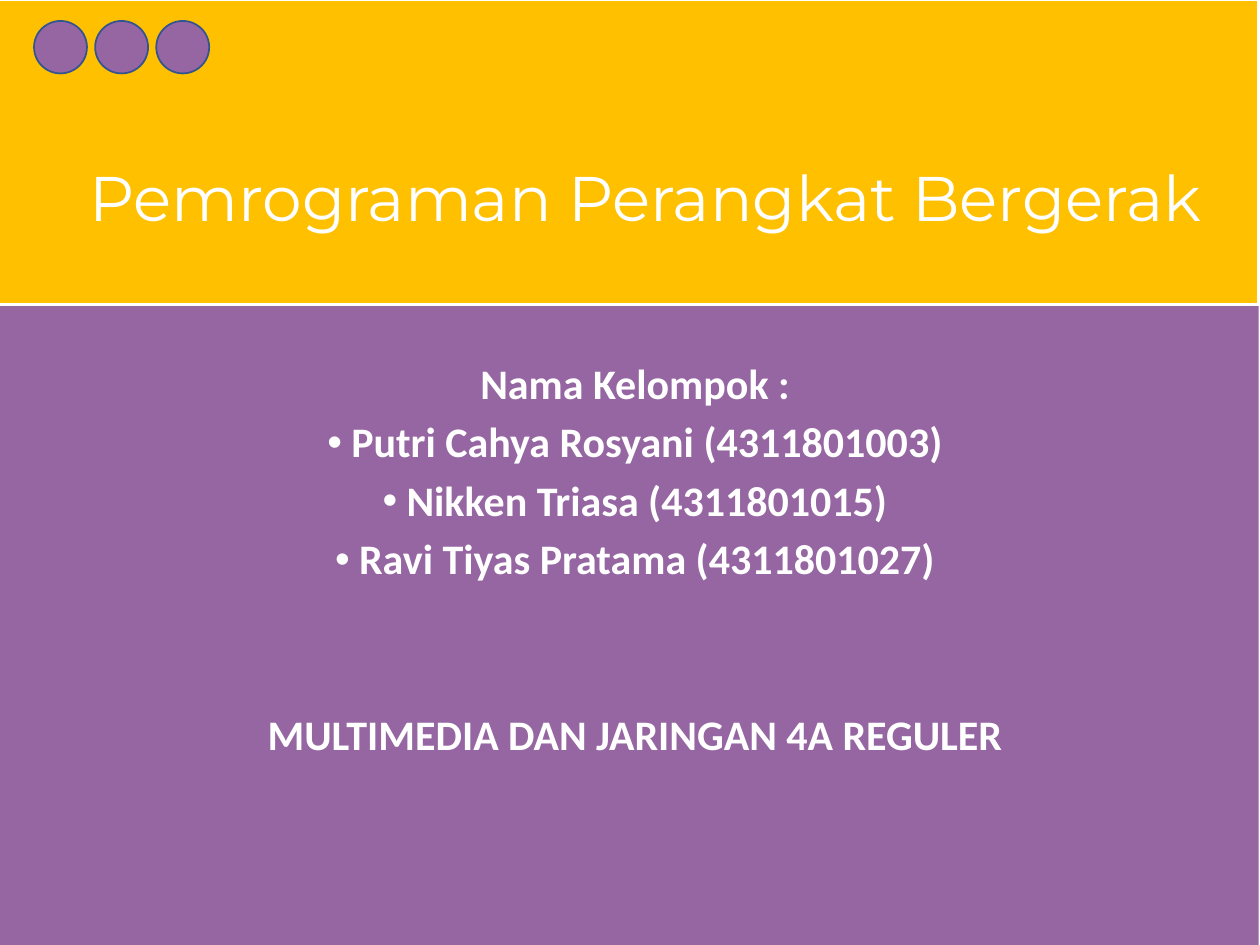
from pptx import Presentation
from pptx.dml.color import RGBColor
from pptx.enum.shapes import MSO_SHAPE
from pptx.enum.text import MSO_ANCHOR, PP_ALIGN
from pptx.oxml.xmlchemy import OxmlElement
from pptx.util import Inches, Pt

RECT, OVAL = MSO_SHAPE.RECTANGLE, MSO_SHAPE.OVAL
TOP, BOTTOM = MSO_ANCHOR.TOP, MSO_ANCHOR.BOTTOM
CENTER = PP_ALIGN.CENTER
COLUMNS, ROWS = 100, 90
PURPLE, YELLOW, WHITE, NAVY = "9566A2", "FFC000", "FFFFFF", "325491"


def color(value):
    return RGBColor.from_string(value)


def write(p, text, size=24, font="Calibri", bold=False, before=0, bullet=False):
    p.alignment = CENTER
    p.line_spacing = 0.9
    p.space_before = Pt(before)
    r = p.add_run()
    r.text = text
    r.font.size = Pt(size)
    r.font.name = font
    r.font.bold = bold
    r.font.color.rgb = color(WHITE)
    if bullet:
        pPr = p._p.get_or_add_pPr()
        pPr.set("marL", str(Inches(0.19)))
        pPr.set("indent", str(Inches(-0.19)))
        for tag, key, value in (("a:buFont", "typeface", "Arial"), ("a:buChar", "char", "•")):
            mark = OxmlElement(tag)
            mark.set(key, value)
            pPr.append(mark)


class Deck:
    def __init__(self, width, height):
        self.prs = Presentation()
        self.prs.slide_width = Inches(width)
        self.prs.slide_height = Inches(height)
        self.s = self.prs.slides.add_slide(self.prs.slide_layouts[6])

    def box(self, col, row, cols, rows):
        dx = self.prs.slide_width / COLUMNS
        dy = self.prs.slide_height / ROWS
        return [round(v) for v in (col * dx, row * dy, cols * dx, rows * dy)]

    def shape(self, kind, *cells, fill, line=None, weight=1):
        sp = self.s.shapes.add_shape(kind, *self.box(*cells))
        sp.shadow.inherit = False
        sp.fill.solid()
        sp.fill.fore_color.rgb = color(fill)
        if line:
            sp.line.color.rgb = color(line)
            sp.line.width = Pt(weight)
        else:
            sp.line.fill.background()

    def text(self, *cells, paragraphs, anchor=TOP):
        tf = self.s.shapes.add_textbox(*self.box(*cells)).text_frame
        tf.word_wrap = True
        tf.vertical_anchor = anchor
        for i, (text, style) in enumerate(paragraphs):
            p = tf.add_paragraph() if i else tf.paragraphs[0]
            write(p, text, **style)


def main():
    deck = Deck(10, 7.5)
    deck.shape(RECT, 0, 28, 99.9, 62, fill=PURPLE)
    deck.shape(RECT, -0.1, 0, 100, 29, fill=YELLOW, line=WHITE, weight=1.5)
    title = ("Pemrograman Perangkat Bergerak", dict(size=36, font="Montserrat"))
    deck.text(2.5, 14, 97.4, 9, paragraphs=[title], anchor=BOTTOM)

    members = [
        "Putri Cahya Rosyani (4311801003)",
        "Nikken Triasa (4311801015)",
        "Ravi Tiyas Pratama (4311801027)",
    ]
    heading = dict(bold=True, before=7.5)
    group = [("Nama Kelompok :", heading)]
    group += [(name, dict(heading, bullet=True)) for name in members]
    group.append(("MULTIMEDIA DAN JARINGAN 4A REGULER", dict(bold=True, before=74.5)))
    deck.text(8.3, 34, 84.2, 47, paragraphs=group)

    for i in range(3):
        deck.shape(OVAL, 2.7 + 4.85 * i, 2, 4.2, 5, fill=PURPLE, line=NAVY)
    deck.prs.save("out.pptx")


if __name__ == "__main__":
    main()
